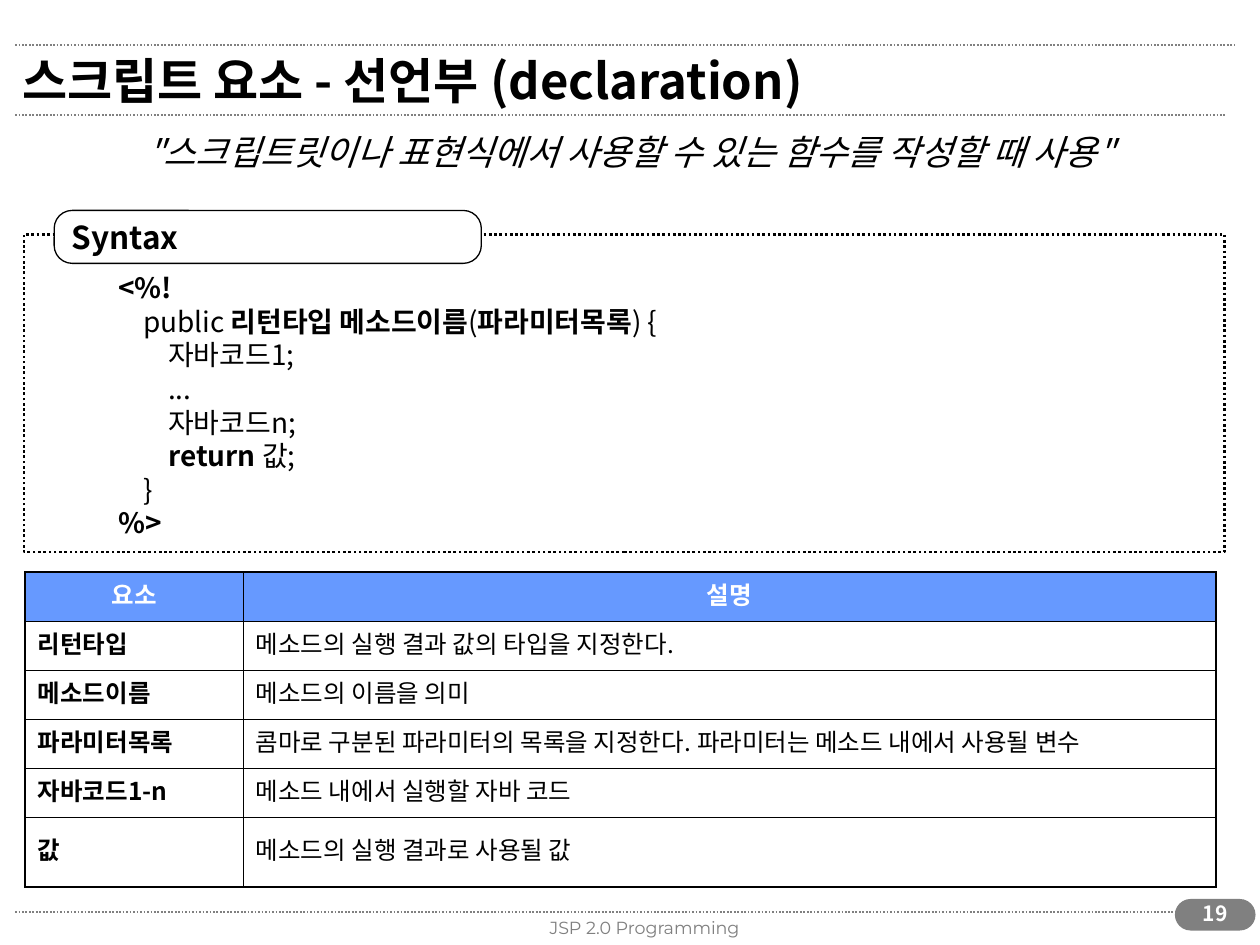
from dataclasses import dataclass
from typing import Optional

from pptx import Presentation
from pptx.dml.color import RGBColor
from pptx.enum.dml import MSO_LINE
from pptx.enum.shapes import MSO_CONNECTOR, MSO_SHAPE
from pptx.enum.text import MSO_ANCHOR as Anchor, PP_ALIGN as Align
from pptx.oxml.ns import qn
from pptx.util import Inches, Pt
from lxml.etree import SubElement


@dataclass(frozen=True)
class Theme:
    font: str = "Noto Sans CJK KR"
    footer_font: str = "Montserrat"
    black: str = "000000"
    white: str = "FFFFFF"
    grey: str = "808080"
    header: str = "6699FF"
    title_size: int = 28
    lead_size: int = 20
    label_size: int = 18
    code_size: int = 16
    table_size: int = 14
    page_size: int = 12
    footer_size: int = 10
    leading: float = 1.2
    outer: float = 1.08
    inner: float = 0.45


THEME = Theme()


@dataclass(frozen=True)
class Span:
    text: str
    bold: bool = False
    italic: bool = False


@dataclass(frozen=True)
class Style:
    size: int
    color: str = THEME.black
    font: str = THEME.font
    align: Align = Align.LEFT
    anchor: Anchor = Anchor.TOP
    wrap: bool = True
    leading: Optional[float] = THEME.leading


@dataclass(frozen=True)
class Area:
    left: float
    top: float
    width: float
    height: float

    def lengths(self) -> tuple:
        return tuple(map(Inches, (self.left, self.top, self.width, self.height)))


@dataclass(frozen=True)
class Label:
    area: Area
    style: Style
    lines: tuple


@dataclass(frozen=True)
class Rule:
    left: float
    right: float
    top: float


RULES = (Rule(0.12, 9.73, 7.24), Rule(0.12, 9.72, 0.91), Rule(0.12, 9.8, 0.36))

CODE = (
    (Span("<%!", True),),
    (Span("    public "), Span("리턴타입 메소드이름", True), Span("("),
     Span("파라미터목록", True), Span(") {")),
    (Span("        자바코드1;"),),
    (Span("        ..."),),
    (Span("        자바코드n;"),),
    (Span("        "), Span("return ", True), Span("값;")),
    (Span("    }"),),
    (Span("%>", True),),
)

LABELS = (
    Label(Area(3.53, 7.23, 3.17, 0.2),
          Style(THEME.footer_size, THEME.grey, THEME.footer_font, Align.CENTER, leading=None),
          ((Span("JSP 2.0 Programming"),),)),
    Label(Area(9.37, 7.1, 0.55, 0.34),
          Style(THEME.page_size, THEME.white, align=Align.CENTER),
          ((Span("19", True),),)),
    Label(Area(0.08, 0.28, 9.1, 0.71),
          Style(THEME.title_size, anchor=Anchor.MIDDLE, leading=None),
          ((Span("스크립트 요소 - 선언부 (declaration)", True),),)),
    Label(Area(0.2, 0.99, 9.61, 0.44),
          Style(THEME.lead_size, align=Align.CENTER),
          ((Span('"스크립트릿이나 표현식에서 사용할 수 있는 함수를 작성할 때 사용"', italic=True),),)),
    Label(Area(0.84, 2.1, 4.72, 2.24), Style(THEME.code_size, wrap=False), CODE),
)

ROWS = (
    ("요소", "설명"),
    ("리턴타입", "메소드의 실행 결과 값의 타입을 지정한다."),
    ("메소드이름", "메소드의 이름을 의미"),
    ("파라미터목록", "콤마로 구분된 파라미터의 목록을 지정한다. 파라미터는 메소드 내에서 사용될 변수"),
    ("자바코드1-n", "메소드 내에서 실행할 자바 코드"),
    ("값", "메소드의 실행 결과로 사용될 값"),
)
COLUMN_WIDTHS = (1.73, 7.72)
ROW_HEIGHTS = (0.39,) * 5 + (0.55,)


def rgb(color: str) -> RGBColor:
    return RGBColor.from_string(color)


def write(frame, lines: tuple, style: Style) -> None:
    for index, spans in enumerate(lines):
        para = frame.paragraphs[0] if index == 0 else frame.add_paragraph()
        para.alignment = style.align
        if style.leading:
            para.line_spacing = Pt(style.size * style.leading)
        for span in spans:
            run = para.add_run()
            run.text = span.text
            formats = {"name": style.font, "size": Pt(style.size),
                       "bold": span.bold, "italic": span.italic}
            for key, value in formats.items():
                setattr(run.font, key, value)
            run.font.color.rgb = rgb(style.color)
            SubElement(run.font._element, qn("a:ea"), typeface=style.font)


def fill_frame(frame, lines: tuple, style: Style) -> None:
    frame.word_wrap = style.wrap
    frame.vertical_anchor = style.anchor
    write(frame, lines, style)


def add_label(page, label: Label) -> None:
    box = page.shapes.add_textbox(*label.area.lengths())
    fill_frame(box.text_frame, label.lines, label.style)


def add_rule(page, rule: Rule) -> None:
    line = page.shapes.add_connector(
        MSO_CONNECTOR.STRAIGHT, Inches(rule.left), Inches(rule.top),
        Inches(rule.right), Inches(rule.top))
    line.line.color.rgb = rgb(THEME.grey)
    line.line.width = Pt(1)
    line.line.dash_style = MSO_LINE.ROUND_DOT
    SubElement(line._element.spPr, qn("a:effectLst"))


def add_box(page, kind, area: Area, fill: Optional[str], line: str, width: float):
    box = page.shapes.add_shape(kind, *area.lengths())
    box.shadow.inherit = False
    if fill:
        box.fill.solid()
        box.fill.fore_color.rgb = rgb(fill)
    else:
        box.fill.background()
    box.line.color.rgb = rgb(line)
    box.line.width = Pt(width)
    return box


def set_borders(cell, widths: dict) -> None:
    properties = cell._tc.get_or_add_tcPr()
    for side, width in widths.items():
        edge = SubElement(properties, qn(f"a:ln{side}"), w=str(Pt(width)))
        SubElement(SubElement(edge, qn("a:solidFill")), qn("a:srgbClr"), val=THEME.black)


def add_description_table(page) -> None:
    area = Area(0.2, 4.54, sum(COLUMN_WIDTHS), sum(ROW_HEIGHTS))
    table = page.shapes.add_table(len(ROWS), len(COLUMN_WIDTHS), *area.lengths()).table
    table.first_row = table.horz_banding = False
    for column, width in zip(table.columns, COLUMN_WIDTHS):
        column.width = Inches(width)
    last_row, last_column = len(ROWS) - 1, len(COLUMN_WIDTHS) - 1
    for r, texts in enumerate(ROWS):
        table.rows[r].height = Inches(ROW_HEIGHTS[r])
        for c, text in enumerate(texts):
            cell = table.cell(r, c)
            at_edge = {"L": c == 0, "R": c == last_column, "T": r == 0, "B": r == last_row}
            set_borders(cell, {side: THEME.outer if edge else THEME.inner
                               for side, edge in at_edge.items()})
            heading = r == 0
            if heading:
                cell.fill.solid()
                cell.fill.fore_color.rgb = rgb(THEME.header)
            else:
                cell.fill.background()
            cell.vertical_anchor = Anchor.MIDDLE
            style = Style(THEME.table_size, THEME.white if heading else THEME.black,
                          align=Align.CENTER if heading else Align.LEFT)
            write(cell.text_frame, ((Span(text, heading or c == 0),),), style)


def main() -> None:
    deck = Presentation()
    deck.slide_width, deck.slide_height = Inches(10), Inches(7.5)
    page = deck.slides.add_slide(deck.slide_layouts[6])

    # Rules and page number pill
    for rule in RULES:
        add_rule(page, rule)
    pill = add_box(page, MSO_SHAPE.ROUNDED_RECTANGLE, Area(9.33, 7.14, 0.63, 0.24),
                   THEME.grey, THEME.grey, 0.75)
    pill.adjustments[0] = 0.5

    # Syntax panel and its tab
    panel = add_box(page, MSO_SHAPE.RECTANGLE, Area(0.19, 1.86, 9.53, 2.52),
                    None, THEME.black, 1.5)
    panel.line.dash_style = MSO_LINE.ROUND_DOT
    tab = add_box(page, MSO_SHAPE.ROUNDED_RECTANGLE, Area(0.43, 1.67, 3.39, 0.42),
                  THEME.white, THEME.black, 0.75)
    tab.adjustments[0] = 0.34
    fill_frame(tab.text_frame, ((Span("Syntax", True),),),
               Style(THEME.label_size, anchor=Anchor.MIDDLE, wrap=False))

    # Text and table
    for label in LABELS:
        add_label(page, label)
    add_description_table(page)

    deck.save("out.pptx")


if __name__ == "__main__":
    main()
